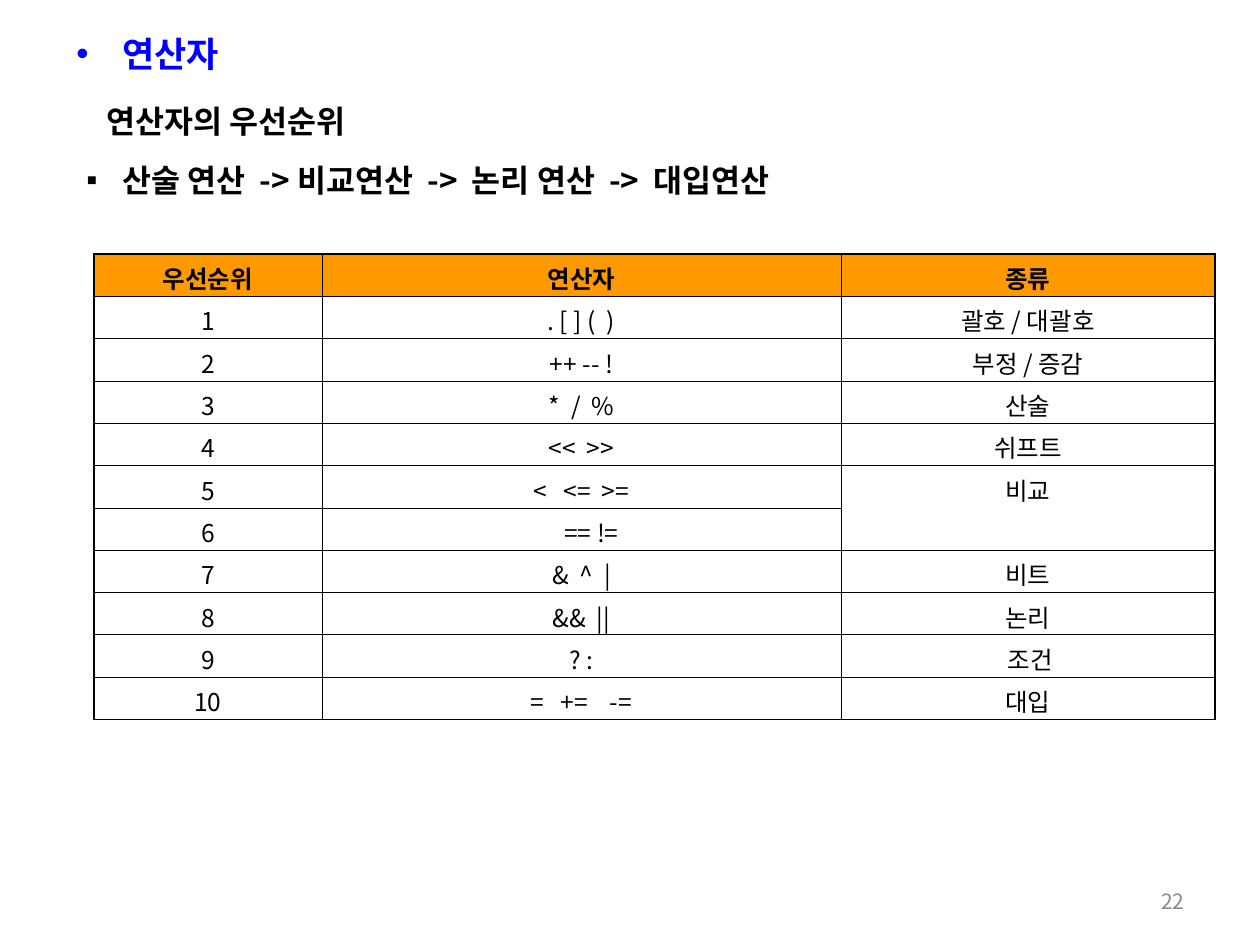
from lxml.etree import SubElement
from pptx import Presentation
from pptx.dml.color import RGBColor
from pptx.enum.text import MSO_ANCHOR, PP_ALIGN
from pptx.oxml.ns import qn
from pptx.util import Pt

PX = 914400 // 126
FONT = "Noto Sans CJK KR"
BLACK = RGBColor(0x00, 0x00, 0x00)
BLUE = RGBColor(0x00, 0x00, 0xFF)
GRAY = RGBColor(0x89, 0x89, 0x89)
ORANGE = RGBColor(0xFF, 0x99, 0x00)


def write(frame, text, size, color, bold, align):
    paragraph = frame.paragraphs[0]
    paragraph.alignment = align
    run = paragraph.add_run()
    run.text = text
    for name, value in {"name": FONT, "size": Pt(size), "bold": bold}.items():
        setattr(run.font, name, value)
    run.font.color.rgb = color
    SubElement(run.font._element, qn("a:ea"), typeface=FONT)
    return paragraph


def draw_border(cell, side, width):
    line = SubElement(cell._tc.get_or_add_tcPr(), qn("a:" + side), w=str(Pt(width)))
    fill = SubElement(line, qn("a:solidFill"))
    SubElement(fill, qn("a:srgbClr"), val=str(BLACK))


deck = Presentation()
deck.slide_width, deck.slide_height = 1260 * PX, 945 * PX
slide = deck.slides.add_slide(deck.slide_layouts[6])

passages = [
    ("22", (903, 876, 294, 50), 12, GRAY, False, PP_ALIGN.RIGHT, None, 0),
    ("연산자의 우선순위", (94, 96, 615, 50), 18, BLACK, True, PP_ALIGN.LEFT, None, 0),
    ("산술 연산  -> 비교연산  ->  논리 연산  ->  대입연산", (74, 155, 953, 50),
     18, BLACK, True, PP_ALIGN.LEFT, "▪", 36),
    ("연산자", (64, 26, 1062, 55), 20, BLUE, True, PP_ALIGN.LEFT, "•", 46),
]
for text, area, size, color, bold, align, bullet, indent in passages:
    passage = slide.shapes.add_textbox(*(value * PX for value in area))
    frame = passage.text_frame
    frame.word_wrap = True
    frame.vertical_anchor = MSO_ANCHOR.MIDDLE
    paragraph = write(frame, text, size, color, bold, align)
    if bullet:
        properties = paragraph._p.get_or_add_pPr()
        properties.set("marL", str(indent * PX))
        properties.set("indent", str(-indent * PX))
        SubElement(properties, qn("a:buFont"), typeface="Arial")
        SubElement(properties, qn("a:buChar"), char=bullet)

precedence = [
    ("우선순위", "연산자", "종류"),
    ("1", ". [ ] (  )", "괄호 / 대괄호"),
    ("2", "++ -- !", "부정 / 증감"),
    ("3", "*  /  %", "산술"),
    ("4", "<<  >>", "쉬프트"),
    ("5", "<   <=  >=", "비교"),
    ("6", "== !=", ""),
    ("7", "&  ^  |", "비트"),
    ("8", "&&  ||", "논리"),
    ("9", "? :", "조건"),
    ("10", "=   +=    -=", "대입"),
]
column_widths = [228, 519, 374]
shifts = {(6, 1): 20, (9, 2): 5}
last_row, last_column = len(precedence) - 1, len(column_widths) - 1

table = slide.shapes.add_table(
    len(precedence), len(column_widths), 94 * PX, 254 * PX, sum(column_widths) * PX, 466 * PX
).table
table.first_row = table.horz_banding = False
for column, width in zip(table.columns, column_widths):
    column.width = width * PX
for row in table.rows:
    row.height = 466 * PX // len(precedence)

for r, entries in enumerate(precedence):
    for c, text in enumerate(entries):
        cell = table.cell(r, c)
        margins = {"margin_left": 13 + shifts.get((r, c), 0), "margin_right": 13,
                   "margin_top": 6, "margin_bottom": 0}
        for name, value in margins.items():
            setattr(cell, name, value * PX)
        if text:
            write(cell.text_frame, text, 14, BLACK, r == 0, PP_ALIGN.CENTER)
        outer = {"lnL": c == 0, "lnR": c == last_column, "lnT": r == 0, "lnB": r == last_row}
        for side, is_outer in outer.items():
            draw_border(cell, side, 1.08 if is_outer else 0.45)
        if r == 0:
            cell.fill.solid()
            cell.fill.fore_color.rgb = ORANGE
        else:
            cell.fill.background()
table.cell(5, 2).merge(table.cell(6, 2))

deck.save("out.pptx")
